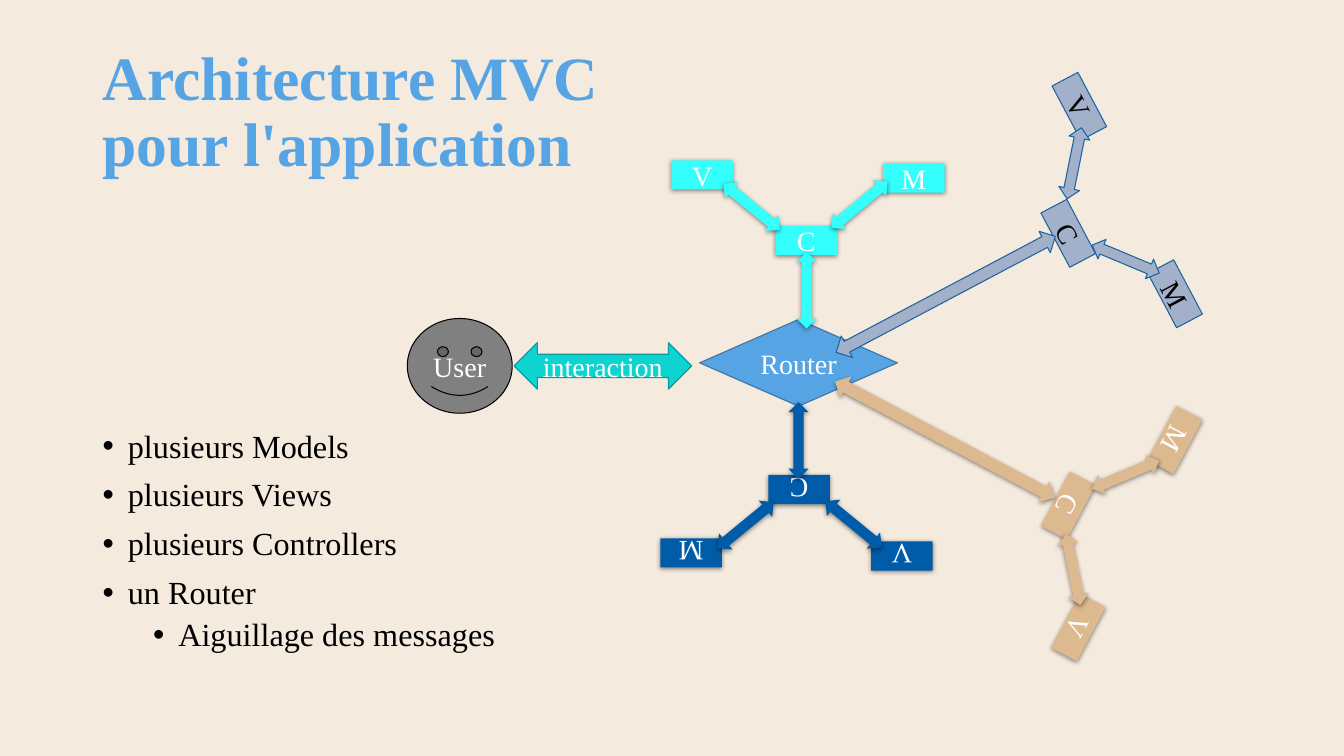
from dataclasses import dataclass

from lxml import etree
from pptx import Presentation
from pptx.dml.color import RGBColor
from pptx.enum import shapes, text
from pptx.oxml import ns
from pptx.util import Emu, Pt

PX = 9144
FONT = "Times New Roman"
SAND = RGBColor(0xF5, 0xEA, 0xDE)
SKY = RGBColor(0x56, 0xA4, 0xE4)
STEEL = RGBColor(0x40, 0x79, 0xA9)
WHITE = RGBColor(0xFF, 0xFF, 0xFF)
BLACK = RGBColor(0x00, 0x00, 0x00)
GREY = RGBColor(0x80, 0x80, 0x80)
TURQUOISE = RGBColor(0x0D, 0xD3, 0xD1)
TEAL = RGBColor(0x0A, 0x9C, 0x9B)
CYAN = RGBColor(0x34, 0xFF, 0xFC)
LAVENDER = RGBColor(0xA2, 0xB0, 0xC9)
BLUE = RGBColor(0x19, 0x63, 0xA1)
NAVY = RGBColor(0x00, 0x5C, 0xA9)
TAN = RGBColor(0xDD, 0xB9, 0x90)

BOX_SIZE = (61, 29)
LINK_SIZE = (21, 72)
ARROW = shapes.MSO_SHAPE.UP_DOWN_ARROW


@dataclass(frozen=True)
class Style:
    """Fill, text colour and outline; a shape without outline casts a shadow."""
    fill: RGBColor
    ink: RGBColor = WHITE
    line: RGBColor | None = None
    line_width: float = 0.75


@dataclass(frozen=True)
class Arrow:
    """A double arrow with its unrotated frame and its angle."""
    left: int
    top: int
    angle: float
    size: tuple[int, int] = LINK_SIZE


@dataclass(frozen=True)
class Triad:
    """A model, view and controller with the arrows between them."""
    style: Style
    angle: float
    boxes: dict[str, tuple[int, int]]
    arrows: tuple[Arrow, ...]


TRIADS = (
    Triad(Style(CYAN), 0, {"M": (876, 162), "V": (666, 159), "C": (769, 224)},
          (Arrow(842, 167, 230.6), Arrow(790, 250, 180, (20, 76)), Arrow(735, 169, 309.3))),
    Triad(Style(LAVENDER, BLACK, BLUE), 62.1,
          {"M": (1135, 277), "V": (1040, 91), "C": (1029, 217)},
          (Arrow(1106, 221, 292.7), Arrow(926, 169, 242.1, (24, 246)), Arrow(1055, 126, 11.4))),
    Triad(Style(NAVY), 180, {"M": (655, 534), "V": (864, 537), "C": (762, 471)},
          (Arrow(729, 485, 50.6), Arrow(782, 399, 0, (20, 76)), Arrow(836, 484, 129.3))),
    Triad(Style(TAN), 117.9, {"M": (1135, 422), "V": (1039, 608), "C": (1029, 487)},
          (Arrow(1106, 435, 67.3), Arrow(925, 313, 117.9, (24, 246)), Arrow(1054, 529, 348.6))),
)

BULLETS = (
    ("plusieurs Models", 0),
    ("plusieurs Views", 0),
    ("plusieurs Controllers", 0),
    ("un Router", 0),
    ("Aiguillage des messages", 1),
)


def apply(target: object, values: dict) -> None:
    """Set every attribute listed in values on the target."""
    for name, value in values.items():
        setattr(target, name, value)


def write(paragraph, words: str, size: int, colour: RGBColor, bold: bool = False) -> None:
    """Put formatted words in a paragraph."""
    paragraph.text = words
    for run in paragraph.runs:
        apply(run.font, {"name": FONT, "size": Pt(size), "bold": bold})
        run.font.color.rgb = colour


def cast_shadow(shape) -> None:
    """Give the shape a soft shadow straight below it."""
    effects = shape._element.spPr.find(ns.qn("a:effectLst"))
    shadow = etree.SubElement(effects, ns.qn("a:outerShdw"), blurRad=str(Pt(3.5)),
                              dist=str(Pt(1.1)), dir="5400000", rotWithShape="0")
    colour = etree.SubElement(shadow, ns.qn("a:srgbClr"), val=str(BLACK))
    etree.SubElement(colour, ns.qn("a:alpha"), val="45000")


def add_figure(parent, kind: shapes.MSO_SHAPE, frame: tuple[int, ...], style: Style,
               words: str = "", angle: float = 0):
    """Draw one styled shape with an optional centred label."""
    shape = parent.shapes.add_shape(kind, *(Emu(value * PX) for value in frame))
    shape.rotation = angle
    shape.shadow.inherit = False
    shape.fill.solid()
    shape.fill.fore_color.rgb = style.fill
    if style.line is None:
        shape.line.fill.background()
        cast_shadow(shape)
    else:
        shape.line.color.rgb = style.line
        shape.line.width = Pt(style.line_width)
    if words:
        frame_format = {"word_wrap": True, "vertical_anchor": text.MSO_ANCHOR.MIDDLE}
        apply(shape.text_frame, frame_format)
        paragraph = shape.text_frame.paragraphs[0]
        paragraph.alignment = text.PP_ALIGN.CENTER
        write(paragraph, words, 20, style.ink)
    return shape


def add_triad(slide, triad: Triad) -> None:
    """Draw one group of boxes and arrows."""
    group = slide.shapes.add_group_shape()
    for letter, corner in triad.boxes.items():
        add_figure(group, shapes.MSO_SHAPE.RECTANGLE, (*corner, *BOX_SIZE),
                   triad.style, letter, triad.angle)
    for arrow in triad.arrows:
        add_figure(group, ARROW, (arrow.left, arrow.top, *arrow.size),
                   triad.style, angle=arrow.angle)


def add_text_frame(slide, frame: tuple[int, ...], anchor: text.MSO_ANCHOR):
    """Add a wrapping text box and return its text frame."""
    box = slide.shapes.add_textbox(*(Emu(value * PX) for value in frame))
    apply(box.text_frame, {"word_wrap": True, "vertical_anchor": anchor})
    return box.text_frame


def add_title(slide) -> None:
    """Write the two-line title."""
    frame = add_text_frame(slide, (92, 40, 1150, 145), text.MSO_ANCHOR.MIDDLE)
    paragraph = frame.paragraphs[0]
    paragraph.line_spacing = 0.9
    write(paragraph, "Architecture MVC \vpour l'application", 44, SKY, bold=True)


def add_bullets(slide) -> None:
    """Write the bulleted list."""
    frame = add_text_frame(slide, (92, 422, 567, 253), text.MSO_ANCHOR.TOP)
    for index, (words, level) in enumerate(BULLETS):
        paragraph = frame.add_paragraph() if index else frame.paragraphs[0]
        spacing = Pt(5 if level else 10)
        apply(paragraph, {"level": level, "line_spacing": 0.9, "space_before": spacing})
        write(paragraph, words, 23, BLACK)
        properties = paragraph._p.get_or_add_pPr()
        properties.set("marL", str((25 + 50 * level) * PX))
        properties.set("indent", str(-25 * PX))
        etree.SubElement(properties, ns.qn("a:buFont"), typeface="Arial")
        etree.SubElement(properties, ns.qn("a:buChar"), char="•")


def main() -> None:
    """Build the slide and save it."""
    presentation = Presentation()
    apply(presentation, {"slide_width": Emu(1333 * PX), "slide_height": Emu(750 * PX)})
    slide = presentation.slides.add_slide(presentation.slide_layouts[6])
    slide.background.fill.solid()
    slide.background.fill.fore_color.rgb = SAND

    add_figure(slide, shapes.MSO_SHAPE.DIAMOND, (694, 317, 196, 86),
               Style(SKY, line=STEEL, line_width=0.85), "Router")
    add_title(slide)
    add_figure(slide, shapes.MSO_SHAPE.SMILEY_FACE, (404, 316, 104, 94),
               Style(GREY, line=BLACK), "User")
    interaction = add_figure(slide, ARROW, (575, 275, 46, 176),
                             Style(TURQUOISE, line=TEAL, line_width=0.85), "interaction", 270)
    interaction.text_frame._txBody.bodyPr.set("vert", "vert")
    for triad in TRIADS:
        add_triad(slide, triad)
    add_bullets(slide)
    presentation.save("out.pptx")


if __name__ == "__main__":
    main()
